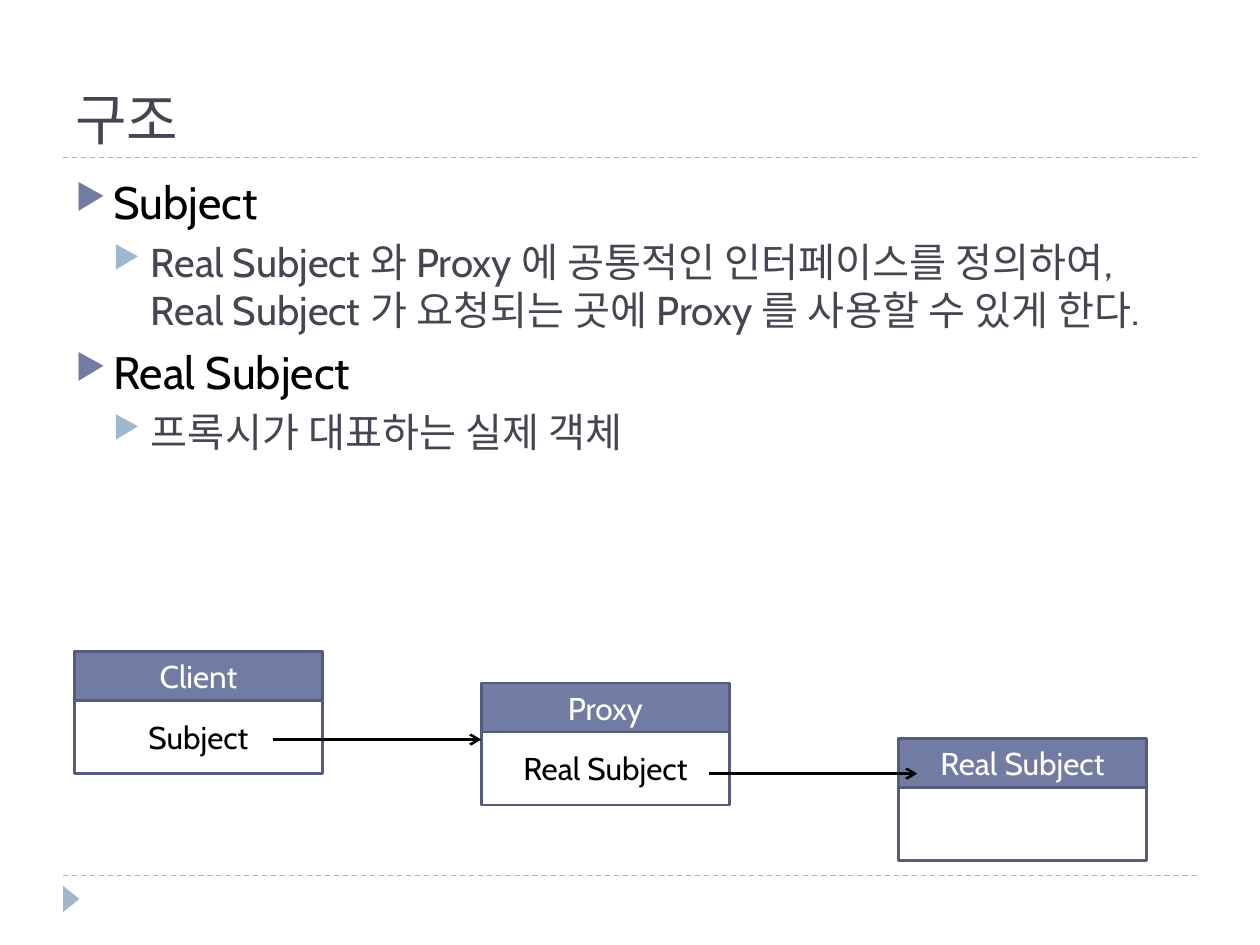
from lxml import etree
from pptx import Presentation, util as u
from pptx.dml.color import RGBColor
from pptx.enum import dml, shapes, text
from pptx.oxml.ns import qn

Inches, Pt = u.Inches, u.Pt
COLORS = {name: RGBColor.from_string(value) for name, value in {
    "slate": "464653", "indigo": "727CA3", "border": "545C79",
    "sky": "9FB8CD", "black": "000000", "white": "FFFFFF"}.items()}

presentation = Presentation()
presentation.slide_width, presentation.slide_height = Inches(10), Inches(7.5)
slide = presentation.slides.add_slide(presentation.slide_layouts[6])


def style_font(paragraph, size, color, name="Cabin"):
    paragraph.font.size = Pt(size)
    paragraph.font.name = name
    paragraph.font.color.rgb = COLORS[color]


def add_line(x1, x2, y, color, width):
    line = slide.shapes.add_connector(
        shapes.MSO_CONNECTOR.STRAIGHT, Inches(x1), Inches(y), Inches(x2), Inches(y))
    line.line.color.rgb = COLORS[color]
    line.line.width = Pt(width)
    etree.SubElement(line._element.spPr, qn("a:effectLst"))
    return line


# Dashed rules and corner marker
for y in (6.95, 1.25):
    add_line(0.5, 9.5, y, "sky", 0.75).line.dash_style = dml.MSO_LINE.DASH
marker = slide.shapes.add_shape(
    shapes.MSO_SHAPE.ISOSCELES_TRIANGLE, Inches(0.46), Inches(7.07), Inches(0.21), Inches(0.13))
marker.rotation = 90
marker.shadow.inherit = False
marker.fill.solid()
marker.fill.fore_color.rgb = COLORS["sky"]
marker.line.fill.background()

# Title
title = slide.shapes.add_textbox(Inches(0.5), Inches(0.17), Inches(9), Inches(1.08)).text_frame
title.word_wrap = True
title.vertical_anchor = text.MSO_ANCHOR.BOTTOM
title.text = "구조"
style_font(title.paragraphs[0], 32, "slate", "TeX Gyre Bonum")

# Bulleted definitions: size, text color, bullet color, space before for each level
levels = [(26, "black", "indigo", 6), (23, "slate", "sky", 5)]
definitions = [
    (0, "Subject"),
    (1, "Real Subject 와 Proxy 에 공통적인 인터페이스를 정의하여, "
        "Real Subject 가 요청되는 곳에 Proxy 를 사용할 수 있게 한다."),
    (0, "Real Subject"),
    (1, "프록시가 대표하는 실제 객체"),
]
body = slide.shapes.add_textbox(Inches(0.5), Inches(1.33), Inches(9), Inches(5.4)).text_frame
body.word_wrap = True
for index, (level, wording) in enumerate(definitions):
    size, color, bullet_color, space = levels[level]
    paragraph = body.add_paragraph() if index else body.paragraphs[0]
    paragraph.text = wording
    paragraph.level = level
    paragraph.space_before = Pt(space)
    properties = paragraph._p.get_or_add_pPr()
    properties.set("marL", str(Inches(0.3 * (level + 1))))
    properties.set("indent", str(-Inches(0.3)))
    bullet = etree.SubElement(properties, qn("a:buClr"))
    etree.SubElement(bullet, qn("a:srgbClr"), val=str(COLORS[bullet_color]))
    etree.SubElement(properties, qn("a:buSzPct"), val="76000")
    etree.SubElement(properties, qn("a:buChar"), char="▶")
    style_font(paragraph, size, color)

# Class boxes: a white member box under a filled header
classes = [(0.59, 5.17, "Client", "Subject"),
           (3.82, 5.42, "Proxy", "Real Subject"),
           (7.13, 5.86, "Real Subject", "")]
for left, top, name, member in classes:
    parts = [(top + 0.08, 0.89, "white", member, "black", 0.35),
             (top, 0.39, "indigo", name, "white", 0.05)]
    for y, height, fill, label, color, inset in parts:
        box = slide.shapes.add_shape(
            shapes.MSO_SHAPE.RECTANGLE, Inches(left), Inches(y), Inches(1.97), Inches(height))
        box.shadow.inherit = False
        box.fill.solid()
        box.fill.fore_color.rgb = COLORS[fill]
        box.line.color.rgb = COLORS["border"]
        box.line.width = Pt(1.5)
        if label:
            frame = box.text_frame
            frame.margin_top = Inches(inset)
            frame.vertical_anchor = text.MSO_ANCHOR.MIDDLE
            frame.text = label
            frame.paragraphs[0].alignment = text.PP_ALIGN.CENTER
            style_font(frame.paragraphs[0], 18, color)

# Reference arrows
for start, y in ((2.17, 5.87), (5.63, 6.14)):
    arrow = add_line(start, start + 1.65, y, "black", 1.5)
    etree.SubElement(arrow.line._get_or_add_ln(), qn("a:tailEnd"), type="arrow")

presentation.save("out.pptx")
